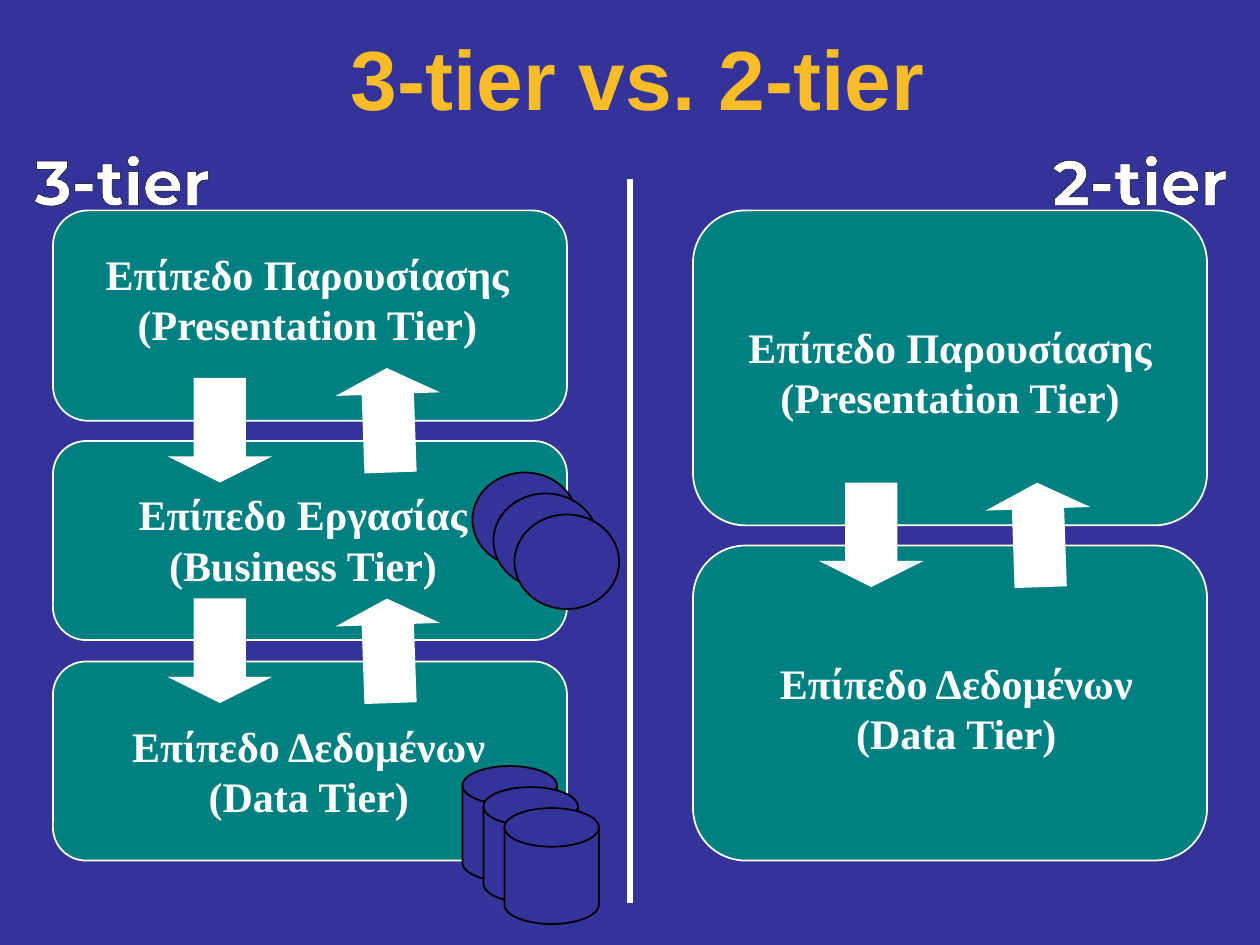
from lxml import etree
from pptx import Presentation
from pptx.dml.color import RGBColor
from pptx.enum.shapes import MSO_CONNECTOR, MSO_SHAPE
from pptx.enum.text import MSO_ANCHOR, MSO_AUTO_SIZE, PP_ALIGN
from pptx.oxml.ns import qn
from pptx.util import Inches, Pt

BOX, ARROW = MSO_SHAPE.ROUNDED_RECTANGLE, MSO_SHAPE.DOWN_ARROW
CIRCLE, DISK = MSO_SHAPE.OVAL, MSO_SHAPE.FLOWCHART_MAGNETIC_DISK
STRAIGHT = MSO_CONNECTOR.STRAIGHT
CENTER, MIDDLE, TOP = PP_ALIGN.CENTER, MSO_ANCHOR.MIDDLE, MSO_ANCHOR.TOP
FIT_SHAPE = MSO_AUTO_SIZE.SHAPE_TO_FIT_TEXT

COLORS = {"background": "333399", "title": "F7BC27", "tier": "008080",
          "white": "FFFFFF", "black": "000000"}

# Content: positions are left, top, width, height in inches
TITLE = ("3-tier vs. 2-tier", (0.42, 0.25, 9.28, 0.82))
HEADINGS = [("3-tier", 0.25), ("2-tier", 8.33)]
PRESENTATION = "Επίπεδο Παρουσίασης\n(Presentation Tier)"
BUSINESS = "Επίπεδο Εργασίας\n(Business Tier)"
DATA = "Επίπεδο Δεδομένων\n(Data Tier)"
TIERS = [  # box left, top, height; label text, left, top, width
    (0.42, 1.67, 1.67, PRESENTATION, 0.74, 1.92, 3.4),
    (0.42, 3.5, 1.58, BUSINESS, 1, 3.83, 2.81),
    (0.42, 5.25, 1.58, DATA, 0.94, 5.67, 3.02),
    (5.5, 1.67, 2.5, PRESENTATION, 5.84, 2.5, 3.4),
    (5.5, 4.33, 2.5, DATA, 6, 5.17, 3.18),
]
ARROW_PAIRS = [  # down left, down top, up left, up top
    (1.33, 3, 2.67, 2.92),
    (1.33, 4.75, 2.67, 4.75),
    (6.5, 3.83, 7.83, 3.83),
]
STACKS = [(CIRCLE, 3.75, 3.75, 0.83, 0.75), (DISK, 3.67, 6.08, 0.75, 0.92)]
TIER_WIDTH, LABEL_HEIGHT, ARROW_SIZE = 4.08, 0.9, 0.83
UP_ROTATION, ARROW_HEAD = 178, 0.25
STACK_COUNT, STACK_STEP = 3, 1 / 6


def color(name):
    return RGBColor.from_string(COLORS[name])


def add_shape(slide, kind, place, fill, line=None):
    shape = slide.shapes.add_shape(kind, *map(Inches, place))
    shape.shadow.inherit = False
    shape.fill.solid()
    shape.fill.fore_color.rgb = color(fill)
    if line:
        shape.line.color.rgb = color(line)
        shape.line.width = Pt(1)
    else:
        shape.line.fill.background()
    return shape


def add_arrow(slide, left, top, rotation=0):
    arrow = add_shape(slide, ARROW, (left, top, ARROW_SIZE, ARROW_SIZE), "white")
    arrow.adjustments[1] = ARROW_HEAD
    arrow.rotation = rotation


def add_text(slide, text, place, font, size, fill="white", wrap=False, anchor=TOP):
    frame = slide.shapes.add_textbox(*map(Inches, place)).text_frame
    frame.word_wrap = wrap
    if not wrap:
        frame.auto_size = FIT_SHAPE
    frame.vertical_anchor = anchor
    frame.text = text
    for paragraph in frame.paragraphs:
        paragraph.alignment = CENTER
        for run in paragraph.runs:
            run.font.name = font
            run.font.size = Pt(size)
            run.font.bold = True
            run.font.color.rgb = color(fill)
    return frame


def outline_text(run, name, width):
    outline = etree.Element(qn("a:ln"), w=str(Pt(width)))
    fill = etree.SubElement(outline, qn("a:solidFill"))
    etree.SubElement(fill, qn("a:srgbClr"), val=COLORS[name])
    run.font._element.insert(0, outline)


def main():
    prs = Presentation()
    prs.slide_width, prs.slide_height = Inches(10), Inches(7.5)
    slide = prs.slides.add_slide(prs.slide_layouts[6])
    slide.background.fill.solid()
    slide.background.fill.fore_color.rgb = color("background")

    # Title
    title = add_text(slide, *TITLE, "Arial", 48, "title", wrap=True, anchor=MIDDLE)
    title.paragraphs[0].line_spacing = 0.9

    # Tier boxes
    for left, top, height, *_ in TIERS:
        add_shape(slide, BOX, (left, top, TIER_WIDTH, height), "tier", "white")

    # Divider between the two architectures
    divider = slide.shapes.add_connector(
        STRAIGHT, Inches(5), Inches(1.42), Inches(5), Inches(7.17))
    divider.line.color.rgb = color("white")
    divider.line.width = Pt(3)
    etree.SubElement(divider._element.spPr, qn("a:effectLst"))

    # Tier labels
    for *_, label, left, top, width in TIERS:
        add_text(slide, label, (left, top, width, LABEL_HEIGHT), "Times New Roman", 24)

    # Arrows between tiers
    for down_left, down_top, up_left, up_top in ARROW_PAIRS:
        add_arrow(slide, down_left, down_top)
        add_arrow(slide, up_left, up_top, UP_ROTATION)

    # Headings, without side margins so that each stays on one line
    for heading, left in HEADINGS:
        frame = add_text(slide, heading, (left, 1.08, 1.44, 0.71), "Montserrat", 36)
        frame.margin_left = frame.margin_right = 0
        outline_text(frame.paragraphs[0].runs[0], "black", 0.75)

    # Stacks of business objects and databases
    for kind, left, top, width, height in STACKS:
        for index in range(STACK_COUNT):
            shift = index * STACK_STEP
            add_shape(slide, kind, (left + shift, top + shift, width, height),
                      "background", "black")

    prs.save("out.pptx")


if __name__ == "__main__":
    main()
